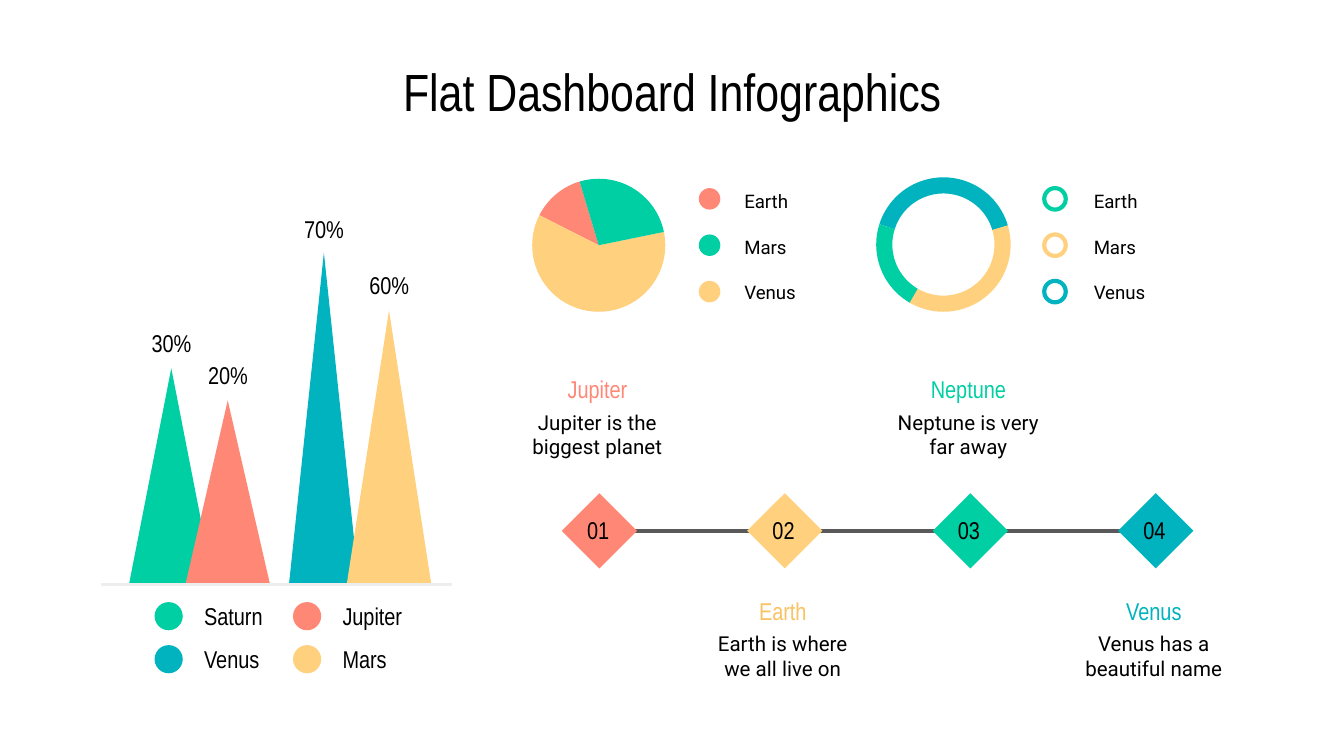
from lxml import etree
from pptx import Presentation
from pptx.dml.color import RGBColor
from pptx.enum.shapes import MSO_CONNECTOR, MSO_SHAPE
from pptx.enum.text import MSO_ANCHOR, PP_ALIGN
from pptx.oxml.ns import qn
from pptx.util import Inches, Pt

CORAL = RGBColor(0xFF, 0x87, 0x75)
YELLOW = RGBColor(0xFF, 0xD0, 0x7E)
GOLD = RGBColor(0xF9, 0xC2, 0x63)
GREEN = RGBColor(0x00, 0xCF, 0xA4)
TEAL = RGBColor(0x00, 0xB3, 0xBE)
BLACK = RGBColor(0, 0, 0)
DARK_GRAY = RGBColor(0x59, 0x59, 0x59)
LIGHT_GRAY = RGBColor(0xEE, 0xEE, 0xEE)
HEADING_FONT, BODY_FONT = "Arial Narrow", "Roboto"
LEFT, CENTER = PP_ALIGN.LEFT, PP_ALIGN.CENTER
TOP, MIDDLE = MSO_ANCHOR.TOP, MSO_ANCHOR.MIDDLE
DIAMOND, ELLIPSE = MSO_SHAPE.DIAMOND, MSO_SHAPE.OVAL
TRIANGLE = MSO_SHAPE.ISOSCELES_TRIANGLE
PIE, BLOCK_ARC = MSO_SHAPE.PIE, MSO_SHAPE.BLOCK_ARC
STRAIGHT = MSO_CONNECTOR.STRAIGHT

TITLE = "Flat Dashboard Infographics"
# name, description, diamond colour, heading colour
MILESTONES = [
    ("Jupiter", "Jupiter is the biggest planet", CORAL, CORAL),
    ("Earth", "Earth is where we all live on", YELLOW, GOLD),
    ("Neptune", "Neptune is very far away", GREEN, GREEN),
    ("Venus", "Venus has a beautiful name", TEAL, TEAL),
]
# label, colour, left, top, width, label top
PEAKS = [
    ("30%", GREEN, 0.96, 2.74, 0.63, 2.31),
    ("20%", CORAL, 1.38, 2.98, 0.63, 2.55),
    ("70%", TEAL, 2.15, 1.88, 0.52, 1.46),
    ("60%", YELLOW, 2.58, 2.31, 0.63, 1.88),
]
PEAK_LEGEND = [("Saturn", GREEN), ("Jupiter", CORAL), ("Venus", TEAL), ("Mars", YELLOW)]
# colour, start and end in degrees, clockwise from three o'clock
PIE_SLICES = [(CORAL, 206.9, 253.3), (YELLOW, 348.4, 206.9), (GREEN, 253.3, 348.4)]
RING_SLICES = [(TEAL, 197.6, 343.6), (GREEN, 119.6, 197.6), (YELLOW, 343.4, 120.1)]
PIE_LEGEND = [("Earth", CORAL), ("Mars", GREEN), ("Venus", YELLOW)]
RING_LEGEND = [("Earth", GREEN), ("Mars", YELLOW), ("Venus", TEAL)]

BASELINE = 4.35
RING_THICKNESS = 0.12
ADJUSTMENT_PER_DEGREE = 0.6

presentation = Presentation()
presentation.slide_width = Inches(10)
presentation.slide_height = Inches(10) * 9 // 16
slide = presentation.slides.add_slide(presentation.slide_layouts[6])


def add_text(text, left, top, width, height, size=13, font=HEADING_FONT,
             color=BLACK, align=CENTER, anchor=MIDDLE):
    box = slide.shapes.add_textbox(*map(Inches, (left, top, width, height)))
    frame = box.text_frame
    frame.text = text
    frame.word_wrap = True
    frame.vertical_anchor = anchor
    frame.margin_left = frame.margin_right = Inches(0.1)
    frame.margin_top = frame.margin_bottom = Inches(0.1)
    paragraph = frame.paragraphs[0]
    paragraph.alignment = align
    run_font = paragraph.runs[0].font
    run_font.name, run_font.size = font, Pt(size)
    run_font.color.rgb = color


def add_figure(kind, color, left, top, width, height, outlined=False):
    """Add a flat preset shape, either filled or only outlined."""
    shape = slide.shapes.add_shape(kind, *map(Inches, (left, top, width, height)))
    shape.shadow.inherit = False
    if outlined:
        shape.fill.background()
        shape.line.color.rgb = color
        shape.line.width = Pt(2.25)
    else:
        shape.fill.solid()
        shape.fill.fore_color.rgb = color
        shape.line.fill.background()
    return shape


def add_horizontal_line(left, right, top, color, width):
    connector = slide.shapes.add_connector(
        STRAIGHT, *map(Inches, (left, top, right, top)))
    connector.line.color.rgb = color
    connector.line.width = Pt(width)
    etree.SubElement(connector._element.spPr, qn("a:effectLst"))


def add_slices(kind, slices, left, top, size):
    for color, start, end in slices:
        shape = add_figure(kind, color, left, top, size, size)
        shape.adjustments[0] = start * ADJUSTMENT_PER_DEGREE
        shape.adjustments[1] = end * ADJUSTMENT_PER_DEGREE
        if kind == BLOCK_ARC:
            shape.adjustments[2] = RING_THICKNESS


def add_round_legend(entries, marker_left, label_left, outlined):
    for row, (name, color) in enumerate(entries):
        add_figure(ELLIPSE, color, marker_left, 1.4 + row * 0.345, 0.16, 0.16, outlined)
        add_text(name, label_left, 1.3 + row * 0.34, 0.84, 0.39, 10, BODY_FONT, align=LEFT)


add_text(TITLE, 0.45, 0.34, 9.1, 0.63, 28, anchor=TOP)

# Timeline: texts alternate above and below the line
add_horizontal_line(4.24, 8.78, 3.95, DARK_GRAY, 2.25)
for index, (name, description, fill, heading_color) in enumerate(MILESTONES):
    offset = index * 1.38
    heading_top = 2.76 if index % 2 == 0 else 4.41
    add_figure(DIAMOND, fill, 4.18 + offset, 3.67, 0.56, 0.56)
    add_text(description, 3.78 + offset, heading_top + 0.23, 1.33, 0.48, 11, BODY_FONT)
    add_text(name, 3.78 + offset, heading_top, 1.33, 0.27, color=heading_color)
    add_text(f"{index + 1:02d}", 4.22 + offset, 3.81, 0.46, 0.27)

# Pie and ring
add_slices(PIE, PIE_SLICES, 3.96, 1.33, 0.99)
add_slices(BLOCK_ARC, RING_SLICES, 6.52, 1.32, 1)
add_round_legend(PIE_LEGEND, 5.2, 5.44, outlined=False)
add_round_legend(RING_LEGEND, 7.77, 8.04, outlined=True)

# Peaks
for label, color, left, top, width, label_top in PEAKS:
    add_figure(TRIANGLE, color, left, top, width, BASELINE - top)
    add_text(label, left + width / 2 - 0.26, label_top, 0.52, 0.48)
add_horizontal_line(0.75, 3.36, BASELINE, LIGHT_GRAY, 1.5)
for index, (name, color) in enumerate(PEAK_LEGEND):
    row, column = divmod(index, 2)
    left, top = 1.15 + column * 1.03, 4.48 + row * 0.32
    add_figure(ELLIPSE, color, left, top, 0.21, 0.21)
    add_text(name, left + 0.27, top - 0.03, 0.71, 0.27, align=LEFT)

presentation.save("out.pptx")
